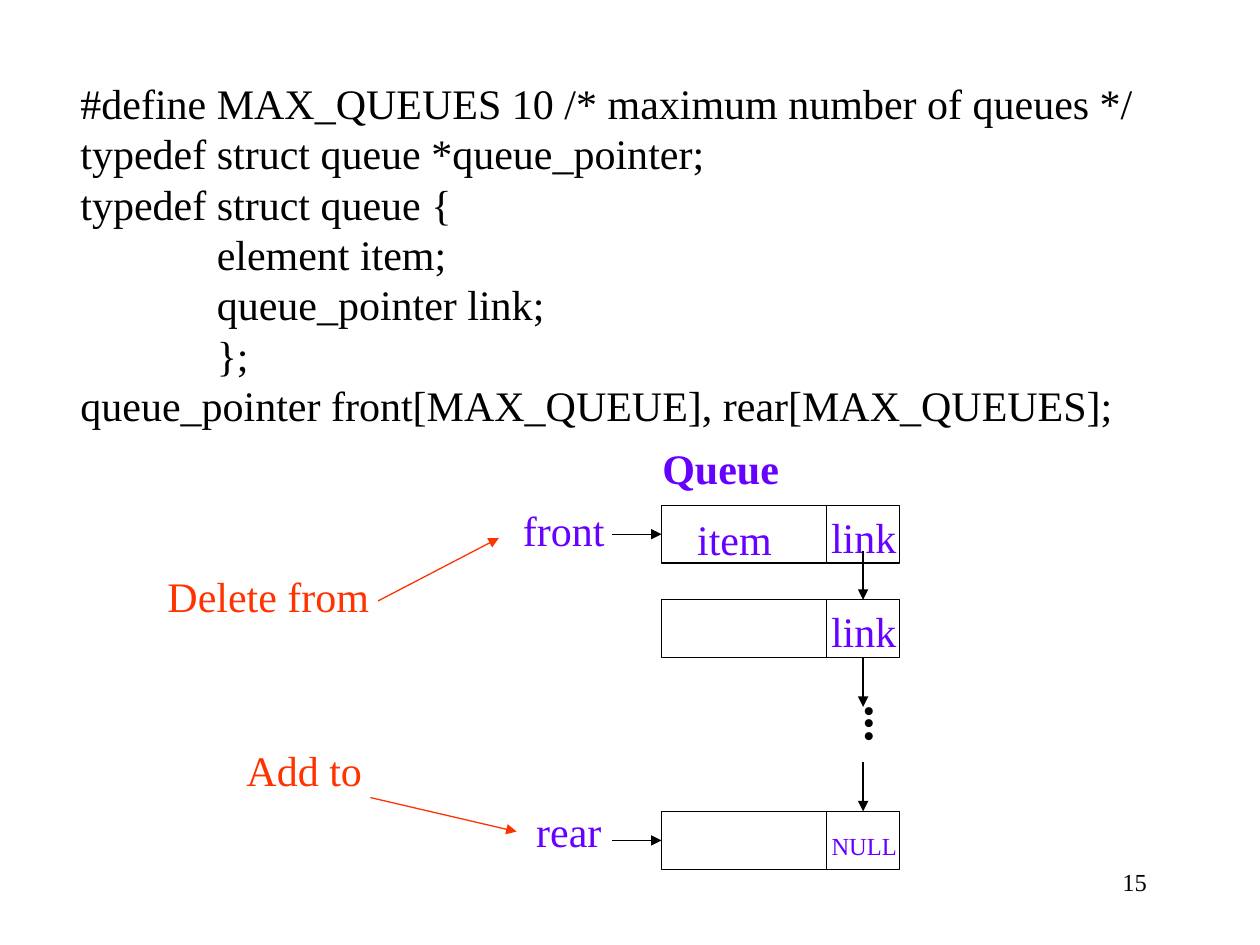
from lxml import etree
from pptx import Presentation
from pptx import util as u
from pptx.dml.color import RGBColor
from pptx.enum import shapes, text
from pptx.oxml import ns

# Grid: 100 columns by 75 rows
W, H = u.Inches(10), u.Inches(7.5)
COL, ROW = W / 100, H / 75

FONT = "Times New Roman"
BLACK, VIOLET, RED = "000000", "6600FF", "FF3300"

# Queue nodes, in grid units
ITEM_X, ITEM_W = 52.5, 13.1
LINK_X, LINK_W = ITEM_X + ITEM_W, 5.8
NODE_H = 4.6
NODE_ROWS = [40.1, 47.6, 64.4]
LINK_MID = LINK_X + LINK_W / 2
ARROW = 3.9

CODE = [
    "#define MAX_QUEUES 10 /* maximum number of queues */",
    "typedef struct queue *queue_pointer;",
    "typedef struct queue {",
    "             element item;",
    "             queue_pointer link;",
    "             };",
    "queue_pointer front[MAX_QUEUE], rear[MAX_QUEUES];",
]


def color(value):
    return RGBColor.from_string(value)


def grid(x, y):
    return round(x * COL), round(y * ROW)


def add_text(s, box, lines, fill=BLACK, size=24, bold=False, align="CENTER",
             anchor="TOP", wrap=False, pitch=None):
    x, y, w, h = box
    tb = s.shapes.add_textbox(*grid(x, y), *grid(w, h))
    tf = tb.text_frame
    tf.word_wrap = wrap
    tf.vertical_anchor = text.MSO_ANCHOR[anchor]
    p = tf.paragraphs[0]
    p.alignment = text.PP_ALIGN[align]
    if pitch:
        p.line_spacing = u.Pt(pitch)
    for i, line in enumerate(lines):
        if i:
            p.add_line_break()
        r = p.add_run()
        r.text = line
        r.font.name, r.font.size, r.font.bold = FONT, u.Pt(size), bold
        r.font.color.rgb = color(fill)
    return tb


def add_cell(s, x, y, w):
    sp = s.shapes.add_shape(shapes.MSO_SHAPE.RECTANGLE, *grid(x, y), *grid(w, NODE_H))
    sp.shadow.inherit = False
    sp.fill.background()
    sp.line.color.rgb = color(BLACK)
    sp.line.width = u.Pt(0.75)
    return sp


def add_node(s, y):
    return add_cell(s, ITEM_X, y, ITEM_W), add_cell(s, LINK_X, y, LINK_W)


def add_arrow(s, start, end, fill=BLACK, source=None, target=None):
    c = s.shapes.add_connector(shapes.MSO_CONNECTOR.STRAIGHT, *grid(*start), *grid(*end))
    c.line.color.rgb = color(fill)
    c.line.width = u.Pt(0.75)
    etree.SubElement(c.line._get_or_add_ln(), ns.qn("a:tailEnd"), type="triangle")
    etree.SubElement(c._element.spPr, ns.qn("a:effectLst"))
    if source:
        c.begin_connect(*source)
    if target:
        c.end_connect(*target)


def add_queue(s):
    first, second, last = [add_node(s, y) for y in NODE_ROWS]
    y1, y2, y3 = NODE_ROWS

    # Labels in and above the nodes
    add_text(s, (51.2, 34.6, 12, 5), ["Queue"], VIOLET, bold=True)
    add_text(s, (53.8, 40.3, 9, 5), ["item"], VIOLET)
    for y in (y1, y2):
        add_text(s, (64.5, y, 8.1, 5), ["link"], VIOLET, wrap=True)
    add_text(s, (64.6, 65.5, 8, 3.4), ["NULL"], VIOLET, size=14)

    # Links from node to node
    below = y2 + NODE_H
    add_arrow(s, (LINK_MID, y2 - ARROW), (LINK_MID, y2), target=(second[1], 0))
    add_arrow(s, (LINK_MID, below), (LINK_MID, below + ARROW), source=(second[1], 2))
    add_arrow(s, (LINK_MID, y3 - ARROW), (LINK_MID, y3), target=(last[1], 0))

    # Vertical ellipsis
    dots = add_text(s, (66.5, 55, 6.6, 3.9), ["..."], size=28, bold=True)
    tf = dots.text_frame
    tf.margin_left = tf.margin_right = u.Inches(0.05)
    tf.margin_top = tf.margin_bottom = u.Inches(0.1)
    tf._txBody.bodyPr.set("vert", "eaVert")

    # Front and rear pointers
    for label, x, y, node in (("front", 39.6, 40, first), ("rear", 40, 63.9, last)):
        add_text(s, (x, y, 10.3, 4.1), [label], VIOLET, anchor="MIDDLE")
        mid = (node[0].top + node[0].height / 2) / ROW
        add_arrow(s, (ITEM_X - ARROW, mid), (ITEM_X, mid), target=(node[0], 1))


def main():
    prs = Presentation()
    prs.slide_width, prs.slide_height = W, H
    s = prs.slides.add_slide(prs.slide_layouts[6])

    # Declarations
    add_text(s, (5.4, 5.65, 86.4, 29), CODE, align="LEFT", wrap=True, pitch=28.8)

    add_queue(s)

    # Operations on either end
    add_text(s, (11.8, 44.8, 19, 5), ["Delete from"], RED)
    add_arrow(s, (30, 47.7), (39.6, 42.7), RED)
    add_text(s, (18.15, 58.6, 12, 5), ["Add to"], RED)
    add_arrow(s, (29.4, 63.3), (41, 66), RED)

    # Slide number
    add_text(s, (71.2, 68.3, 20.8, 5), ["15"], size=14, align="RIGHT", wrap=True)

    prs.save("out.pptx")


if __name__ == "__main__":
    main()
